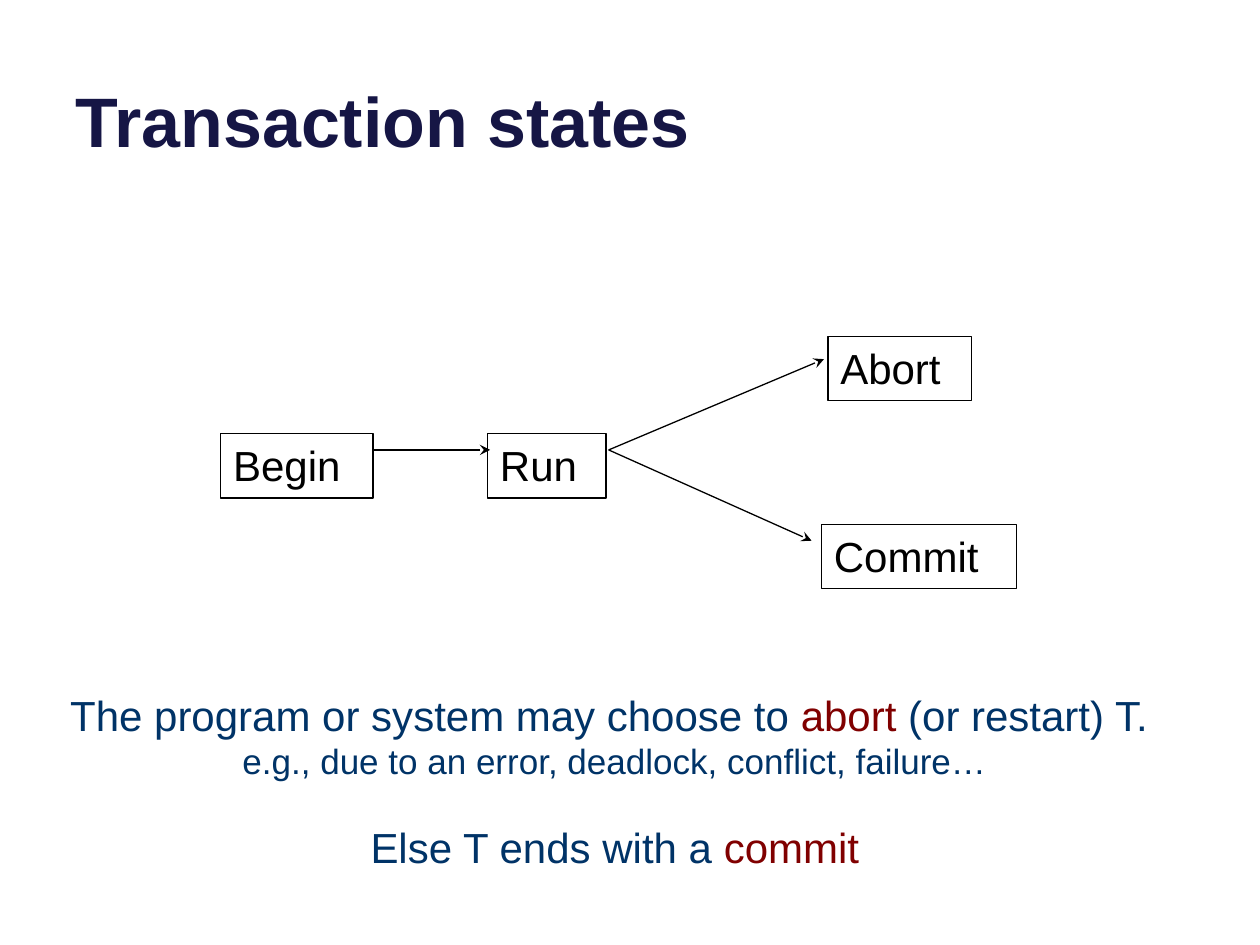
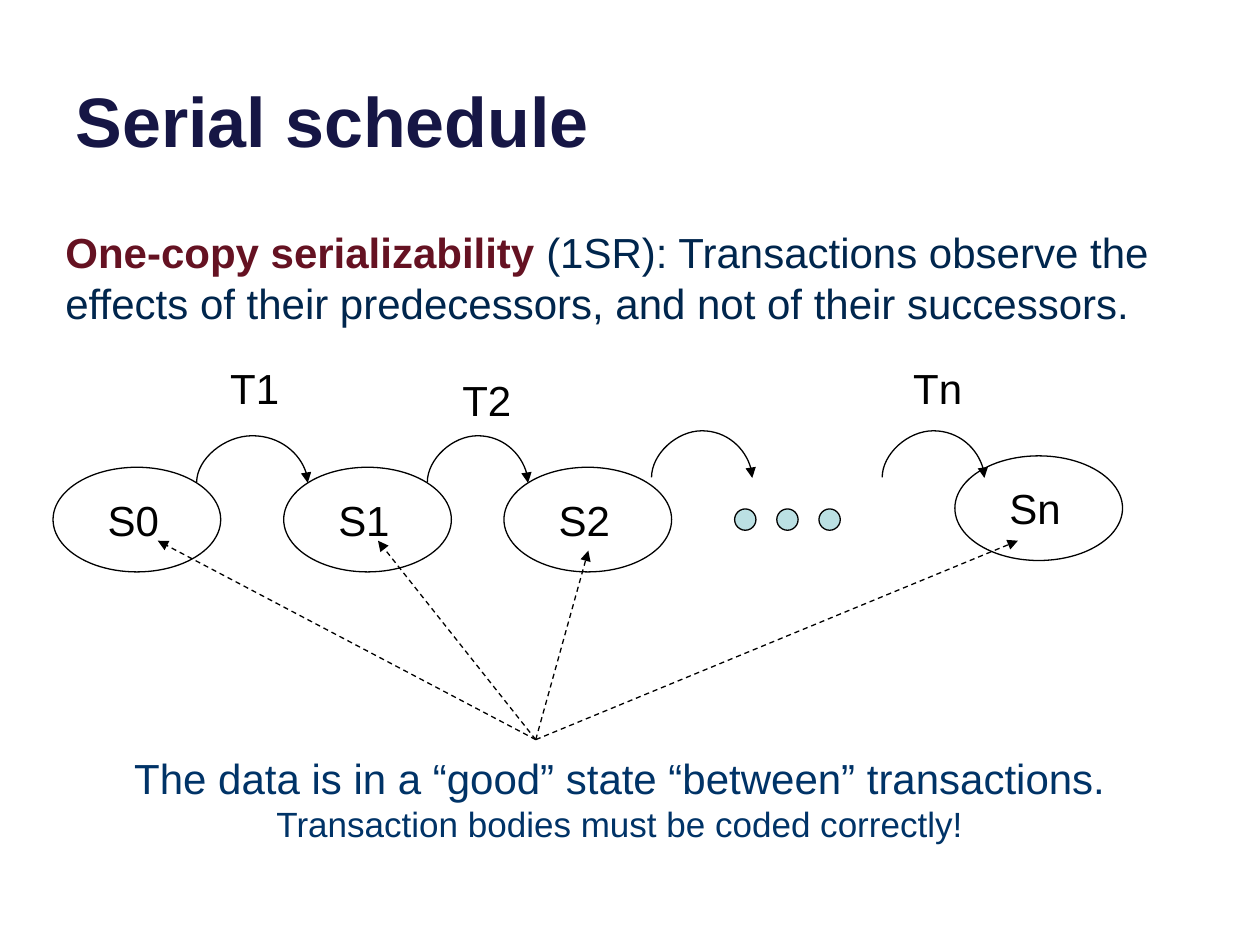
from lxml import etree
from pptx import Presentation
from pptx.dml.color import RGBColor
from pptx.enum import dml, shapes, text
from pptx.oxml import ns
from pptx.util import Cm, Pt

FONT = "Arial"
BLACK, NAVY, BLUE = "000000", "161645", "003367"
DEEP_BLUE, RED, MAROON, PALE = "00264D", "800000", "651222", "BBE0E3"
LEFT, CENTER = text.PP_ALIGN.LEFT, text.PP_ALIGN.CENTER
FIT = text.MSO_AUTO_SIZE.SHAPE_TO_FIT_TEXT
STATE_W, STATE_H = 3.38, 2.11
ARC_RISE, ARC_DEPTH = 0.94, 0.01


def rgb(value):
    return RGBColor.from_string(value)


def apply(target, values):
    for name, value in values.items():
        setattr(target, name, value)


def add_xml(parent, tag, **attributes):
    return etree.SubElement(parent, ns.qn(tag), attributes)


def write(p, runs, size, align=LEFT, before=0):
    apply(p, {"alignment": align, "space_before": Pt(before)})
    for words, color, bold in runs:
        r = p.add_run()
        r.text = words
        apply(r.font, {"name": FONT, "size": Pt(size), "bold": bold})
        r.font.color.rgb = rgb(color)


def add_slide(prs, title):
    s = prs.slides.add_slide(prs.slide_layouts[5])
    sp = s.shapes.title
    apply(sp, {"left": Cm(1.27), "top": Cm(-0.94), "width": Cm(22.86), "height": Cm(4.32)})
    apply(sp.text_frame, {"vertical_anchor": text.MSO_ANCHOR.BOTTOM,
                          "auto_size": text.MSO_AUTO_SIZE.NONE})
    write(sp.text_frame.paragraphs[0], [(title, NAVY, True)], 40)
    return s.shapes


def add_text(parent, box, paragraphs, wrap=True):
    tf = parent.add_textbox(*map(Cm, box)).text_frame
    apply(tf, {"word_wrap": wrap, "auto_size": FIT})
    for i, paragraph in enumerate(paragraphs):
        write(tf.add_paragraph() if i else tf.paragraphs[0], *paragraph)


def add_label(parent, x, y, words, width):
    add_text(parent, (x, y, width, 1.27), [([(words, BLACK, False)], 24)], wrap=False)


def add_outline(parent, kind, box, fill=None):
    sp = parent.add_shape(kind, *map(Cm, box))
    sp.shadow.inherit = False
    if fill:
        sp.fill.solid()
        sp.fill.fore_color.rgb = rgb(fill)
    else:
        sp.fill.background()
    sp.line.color.rgb = rgb(BLACK)
    sp.line.width = Pt(0.75)
    return sp


def add_box(parent, x, y, width, words):
    sp = add_outline(parent, shapes.MSO_SHAPE.RECTANGLE, (x, y, width, 1.3))
    tf = sp.text_frame
    apply(tf, {"word_wrap": True, "auto_size": FIT, "vertical_anchor": text.MSO_ANCHOR.TOP})
    write(tf.paragraphs[0], [(words, BLACK, False)], 24)


def add_state(parent, x, y, words):
    group = parent.add_group_shape().shapes
    add_outline(group, shapes.MSO_SHAPE.OVAL, (x, y, STATE_W, STATE_H))
    add_label(group, x + 0.85, y + 0.42, words, 1.55)


def add_arrow(parent, start, end, head="triangle", dash=None,
              kind=shapes.MSO_CONNECTOR.STRAIGHT):
    line = parent.add_connector(kind, *map(Cm, (*start, *end)))
    line.line.color.rgb = rgb(BLACK)
    apply(line.line, {"width": Pt(0.75), "dash_style": dash})
    add_xml(line.line._get_or_add_ln(), "a:tailEnd", type=head)
    add_xml(line._element.spPr, "a:effectLst")
    return line


def add_arc(parent, x, y, span):
    middle = x + span / 2
    arc = add_arrow(parent, (middle, y - span / 2), (middle + ARC_DEPTH, y + span / 2),
                    kind=shapes.MSO_CONNECTOR.CURVE)
    spPr = arc._element.spPr
    spPr.xfrm.set("rot", "5400000")
    spPr.xfrm.set("flipV", "1")
    guides = spPr.find(ns.qn("a:prstGeom")).get_or_add_avLst()
    bend = round(-ARC_RISE / ARC_DEPTH * 100000)
    add_xml(guides, "a:gd", name="adj1", fmla=f"val {bend}")


def transaction_states(prs):
    s = add_slide(prs, "Transaction states")
    for box in [(4.45, 8.74, 3.07, "Begin"), (9.83, 8.74, 2.39, "Run"),
                (16.69, 6.78, 2.9, "Abort"), (16.56, 10.57, 3.94, "Commit")]:
        add_box(s, *box)
    fork = (12.27, 9.07)
    for start, end in [((7.52, 9.07), (9.88, 9.07)),
                       (fork, (16.61, 7.24)), (fork, (16.36, 10.9))]:
        add_arrow(s, start, end, "stealth")
    add_text(s, (0.43, 13.77, 23.93, 4.01), [
        ([("The program or system may choose to ", BLUE, False), ("abort ", RED, False),
          ("(or restart) T. ", BLUE, False)], 24, CENTER),
        ([("e.g., due to an error, deadlock, conflict, failure…", BLUE, False)], 20, CENTER),
        ([("Else T ends with a ", BLUE, False), ("commit", RED, False)], 24, CENTER, 23),
    ])


def serial_schedule(prs):
    s = add_slide(prs, "Serial schedule")
    for state in [(19.25, 9.19, "Sn"), (1.07, 9.42, "S0"),
                  (5.72, 9.42, "S1"), (10.16, 9.42, "S2")]:
        add_state(s, *state)
    for arc in [(17.78, 9.63, 2.06), (3.96, 9.73, 2.24),
                (8.61, 9.73, 2.03), (13.13, 9.63, 2.03)]:
        add_arc(s, *arc)
    for x, y, words in [(4.39, 7.19, "T1"), (9.07, 7.42, "T2"), (18.16, 7.19, "Tn")]:
        add_label(s, x, y, words, 1.5)
    for i in range(3):
        add_outline(s, shapes.MSO_SHAPE.OVAL, (14.81 + 0.85 * i, 10.26, 0.43, 0.43), PALE)
    for end in [(7.62, 10.9), (3.18, 10.9), (11.86, 11.1), (20.52, 10.9)]:
        add_arrow(s, (10.8, 14.91), end, dash=dml.MSO_LINE.DASH)
    add_text(s, (1.7, 15.04, 21.59, 2.13), [
        ([("The data is in a “good” state “between” transactions.", BLUE, False)], 24, CENTER),
        ([("Transaction bodies must be coded correctly!", BLUE, False)], 20, CENTER),
    ])
    add_text(s, (1.07, 4.45, 22.66, 2.31), [
        ([("One-copy serializability ", MAROON, True),
          ("(1SR): Transactions observe the effects of their predecessors, "
           "and not of their successors.", DEEP_BLUE, False)], 24),
    ])


def main():
    prs = Presentation()
    apply(prs, {"slide_width": Cm(25.4), "slide_height": Cm(19.05)})
    transaction_states(prs)
    serial_schedule(prs)
    prs.save("out.pptx")


if __name__ == "__main__":
    main()
